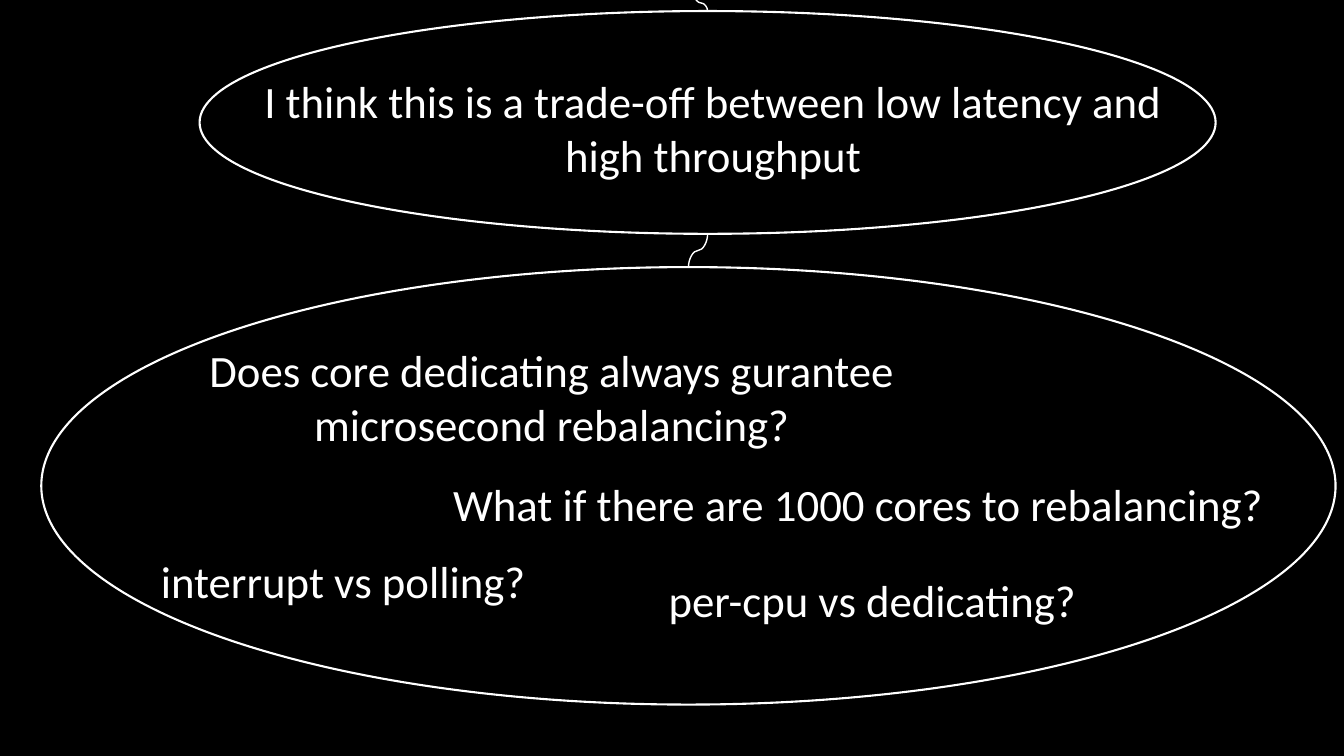
from collections import namedtuple

from pptx import Presentation
from pptx.dml.color import RGBColor
from pptx.enum.shapes import MSO_CONNECTOR as Connector, MSO_SHAPE as Preset
from pptx.enum.text import MSO_AUTO_SIZE as AutoSize, PP_ALIGN as Align
from pptx.oxml.ns import qn
from pptx.util import Pt

Box = namedtuple("Box", "left top width height")
Theme = namedtuple("Theme", "background ink font text_size outline link text_width")
THEME = Theme(RGBColor(0, 0, 0), RGBColor(255, 255, 255), "Calibri", 32, 1.5, 1, 656)
LINE_HEIGHT = {1: 46, 2: 85}


def set_attributes(target, values):
    for name, value in values.items():
        setattr(target, name, value)


def set_line(shape, width):
    shape.line.color.rgb = THEME.ink
    shape.line.width = Pt(width)


def add_thought(slide, left, top, lines, text):
    lengths = (left, top, THEME.text_width, LINE_HEIGHT[lines])
    frame = slide.shapes.add_textbox(*map(Pt, lengths)).text_frame
    set_attributes(frame, {"word_wrap": True, "auto_size": AutoSize.SHAPE_TO_FIT_TEXT})
    paragraph = frame.paragraphs[0]
    paragraph.alignment = Align.CENTER
    run = paragraph.add_run()
    run.text = text
    set_attributes(run.font, {"name": THEME.font, "size": Pt(THEME.text_size)})
    run.font.color.rgb = THEME.ink


def add_bubble(slide, box, thoughts):
    ellipse = slide.shapes.add_shape(Preset.OVAL, *map(Pt, box))
    ellipse.shadow.inherit = False
    ellipse.fill.background()
    set_line(ellipse, THEME.outline)
    for left, top, lines, text in thoughts:
        add_thought(slide, box.left + left, box.top + top, lines, text)


def add_link(slide, start, end):
    (start_x, start_y), (end_x, end_y) = start, end
    center_x, center_y = (start_x + end_x) / 2, (start_y + end_y) / 2
    half_x, half_y = (end_x - start_x) / 2, (end_y - start_y) / 2
    turn, sign = (90, 1) if half_x < 0 else (270, -1)
    lengths = (
        center_x - sign * half_y, center_y + sign * half_x,
        center_x + sign * half_y, center_y - sign * half_x,
    )
    connector = slide.shapes.add_connector(Connector.CURVE, *map(Pt, lengths))
    set_line(connector, THEME.link)
    properties = connector.element.spPr
    properties.find(qn("a:xfrm")).set("rot", str(turn * 60000))
    properties.append(properties.makeelement(qn("a:effectLst"), {}))


def top_of(box):
    return box.left + box.width / 2, box.top


def bottom_of(box):
    return box.left + box.width / 2, box.top + box.height


def build_thought_map(slide, box):
    opinion = Box(box.left + 142.56, box.top + 7.92, 725.76, 159.12)
    questions = Box(box.left + 29.52, box.top + 190.8, 924.48, 312.48)
    add_bubble(slide, opinion, [
        (38.88, 41.04, 2,
         "I think this is a trade-off between low latency and high throughput"),
    ])
    add_bubble(slide, questions, [
        (36.72, 50.4, 2,
         "Does core dedicating always gurantee microsecond rebalancing?"),
        (255.6, 146.16, 1, "What if there are 1000 cores to rebalancing?"),
        (-112.32, 200.88, 1, "interrupt vs polling?"),
        (265.68, 214.56, 1, "per-cpu vs dedicating?"),
    ])
    add_link(slide, (box.left + 496.08, box.top - 3.6), top_of(opinion))
    add_link(slide, bottom_of(opinion), top_of(questions))


presentation = Presentation()
page = Box(0, 0, 960, 540)
set_attributes(presentation, {
    "slide_width": Pt(page.width), "slide_height": Pt(page.height),
})
slide = presentation.slides.add_slide(presentation.slide_layouts.get_by_name("Blank"))
slide.background.fill.solid()
slide.background.fill.fore_color.rgb = THEME.background
build_thought_map(slide, page)
presentation.save("out.pptx")
